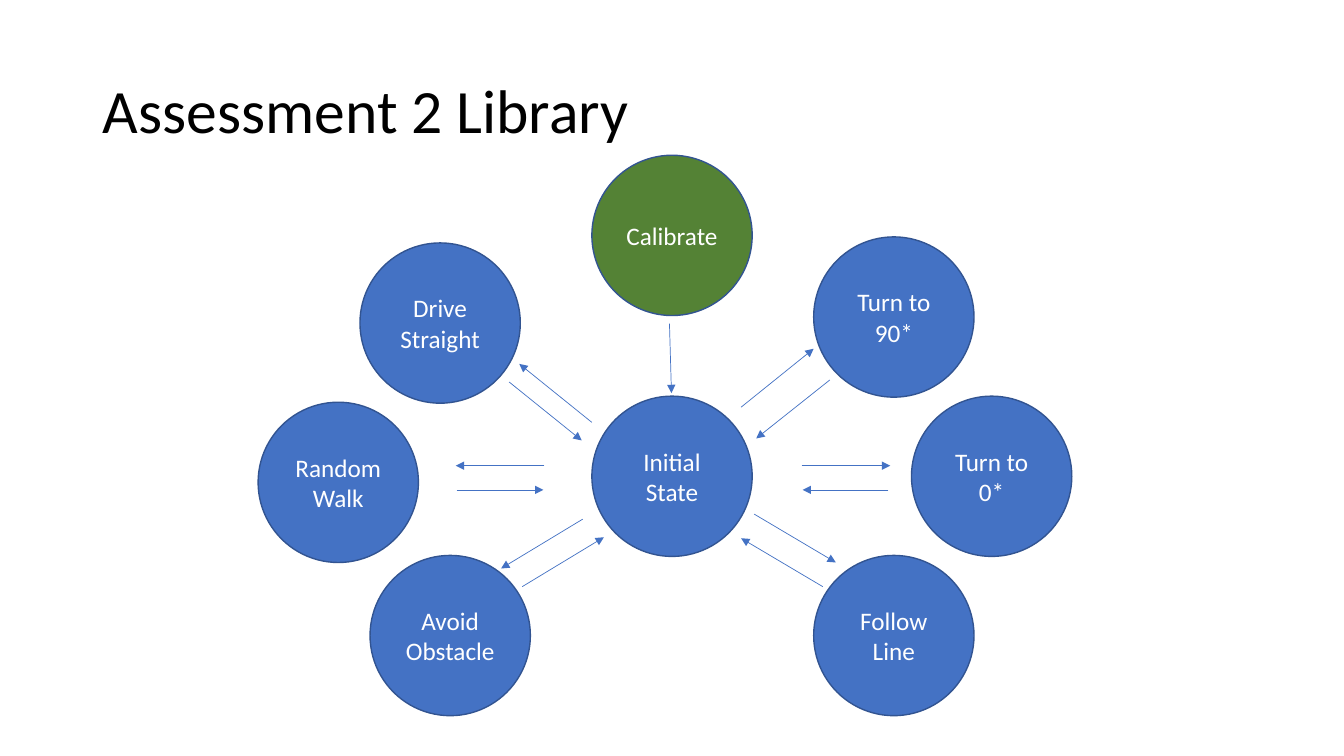
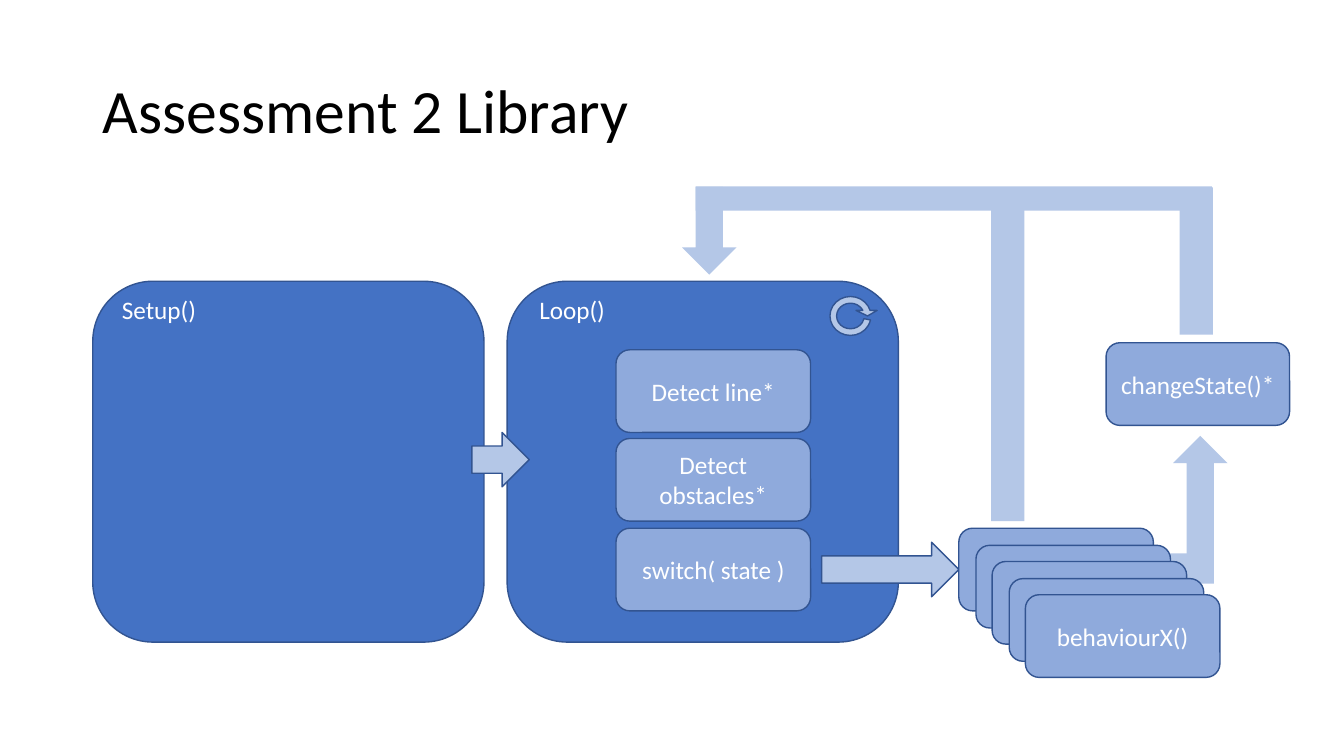
import pptx
import pptx.dml.color
import pptx.enum.shapes
import pptx.enum.text
import pptx.oxml
import pptx.oxml.ns
import pptx.util

RGB = pptx.dml.color.RGBColor
KIND = pptx.enum.shapes.MSO_SHAPE
ALIGN = pptx.enum.text.PP_ALIGN
ANCHOR = pptx.enum.text.MSO_ANCHOR
FIT = pptx.enum.text.MSO_AUTO_SIZE

BLACK = RGB(0x00, 0x00, 0x00)
WHITE = RGB(0xFF, 0xFF, 0xFF)
BLUE = RGB(0x44, 0x72, 0xC4)
EDGE = RGB(0x32, 0x54, 0x91)
SOFT = RGB(0x8F, 0xAA, 0xDC)
PALE = RGB(0xB4, 0xC7, 0xE7)
GREEN = RGB(0x54, 0x82, 0x35)
FONT = "Calibri"
TITLE = "Assessment 2 Library"
DISC = 159           # diameter of a state
CARD = (193, 82)     # size of a step


def px(count):
    """One hundred px make an inch."""
    return pptx.util.Emu(count * 9144)


def write(shape, text, size=18, color=WHITE, align=ALIGN.CENTER,
          anchor=ANCHOR.MIDDLE, space=None):
    frame = shape.text_frame
    frame.word_wrap = True
    frame.vertical_anchor = anchor
    para = frame.paragraphs[0]
    para.alignment = align
    para.line_spacing = space
    run = para.add_run()
    run.text = text
    run.font.name = FONT
    run.font.size = pptx.util.Pt(size)
    run.font.color.rgb = color


def start(deck):
    """Add a slide with the shared title."""
    slide = deck.slides.add_slide(deck.slide_layouts[5])
    title = slide.shapes.title
    title.left, title.top = px(92), px(40)
    title.width, title.height = px(1150), px(145)
    title.text_frame.auto_size = FIT.NONE
    write(title, TITLE, size=44, color=BLACK, align=ALIGN.LEFT, space=0.9)
    return slide


def draw(slide, kind, left, top, wide, high, fill, text="", edge=EDGE, turn=0):
    shape = slide.shapes.add_shape(kind, px(left), px(top), px(wide), px(high))
    shape.shadow.inherit = False
    shape.rotation = turn
    shape.fill.solid()
    shape.fill.fore_color.rgb = fill
    if edge is None:
        shape.line.fill.background()
    else:
        shape.line.color.rgb = edge
        shape.line.width = pptx.util.Pt(1)
    if text:
        write(shape, text)
    return shape


def state(slide, text, left, top, fill=BLUE):
    draw(slide, KIND.OVAL, left, top, DISC, DISC, fill, text)


def card(slide, text, left, top, size=CARD):
    draw(slide, KIND.ROUNDED_RECTANGLE, left, top, *size, SOFT, text)


def label(slide, text, left, top):
    box = slide.shapes.add_textbox(px(left), px(top), px(102), px(40))
    write(box, text, align=ALIGN.LEFT, anchor=ANCHOR.TOP)


def arrow(slide, *ends):
    link = slide.shapes.add_connector(
        pptx.enum.shapes.MSO_CONNECTOR.STRAIGHT, *map(px, ends))
    link.line.color.rgb = BLUE
    link.line.width = pptx.util.Pt(0.5)
    tail = pptx.oxml.parse_xml(
        '<a:tailEnd %s type="triangle"/>' % pptx.oxml.ns.nsdecls("a"))
    link.line._get_or_add_ln().append(tail)
    flat = pptx.oxml.parse_xml(
        "<a:effectLst %s/>" % pptx.oxml.ns.nsdecls("a"))
    link._element.spPr.append(flat)


def states(deck):
    slide = start(deck)

    # States around the initial one
    state(slide, "Calibrate", 587, 154, GREEN)
    for text, left, top in (
            ("Initial State", 587, 393), ("Turn to 90*", 807, 235),
            ("Turn to 0*", 904, 393), ("Drive Straight", 357, 241),
            ("Random Walk", 256, 399), ("Avoid Obstacle", 367, 551),
            ("Follow Line", 807, 551)):
        state(slide, text, left, top)

    # Moves: out and back for each state, then the entry
    for ends in (
            (735, 404, 807, 346), (823, 377, 750, 435),
            (795, 462, 883, 462), (881, 486, 796, 486),
            (748, 510, 829, 558), (816, 582, 735, 534),
            (587, 419, 515, 361), (505, 379, 577, 437),
            (540, 462, 452, 462), (453, 486, 539, 486),
            (578, 515, 497, 564), (518, 582, 599, 533),
            (664, 321, 666, 390)):
        arrow(slide, *ends)


def flow(deck):
    slide = start(deck)

    # Setup and loop panels
    for text, left, inset in (("Setup()", 92, 19), ("Loop()", 503, 22)):
        draw(slide, KIND.ROUNDED_RECTANGLE, left, 279, 388, 358, BLUE)
        label(slide, text, left + inset, 287)
    draw(slide, KIND.RIGHT_ARROW, 468, 429, 57, 54, PALE)
    cycle = draw(slide, KIND.CIRCULAR_ARROW, 816, 287, 55, 53, PALE)
    for spot, value in enumerate((0.125, 11.423, 204.577, 6.805, 0.198)):
        cycle.adjustments[spot] = value

    # Steps of the loop
    steps = ("Detect line*", "Detect obstacles*", "switch( state )")
    for row, text in enumerate(steps):
        card(slide, text, 611, 347 + round(88.5 * row))
    draw(slide, KIND.RIGHT_ARROW, 815, 538, 136, 54, PALE)
    card(slide, "changeState()*", 1097, 340, (182, 82))

    # Bent arrows, each made of bars and a head
    for kind, left, top, wide, high, turn in (
            (KIND.RECTANGLE, 1158, 549, 46, 30, 0),
            (KIND.RIGHT_ARROW, 1132, 464, 117, 54, 270),
            (KIND.RECTANGLE, 983, 198, 33, 319, 0),
            (KIND.RECTANGLE, 1170, 186, 33, 146, 0),
            (KIND.RIGHT_ARROW, 660, 202, 87, 54, 90),
            (KIND.RECTANGLE, 690, 185, 512, 24, 0)):
        draw(slide, kind, left, top, wide, high, PALE, edge=None, turn=turn)

    # Stack of behaviours
    for layer in range(5):
        shift = round(16.6 * layer)
        card(slide, "behaviourX()", 951 + shift, 524 + shift)


def main():
    deck = pptx.Presentation()
    deck.slide_width, deck.slide_height = px(1333), px(750)
    states(deck)
    flow(deck)
    deck.save("out.pptx")


if __name__ == "__main__":
    main()
